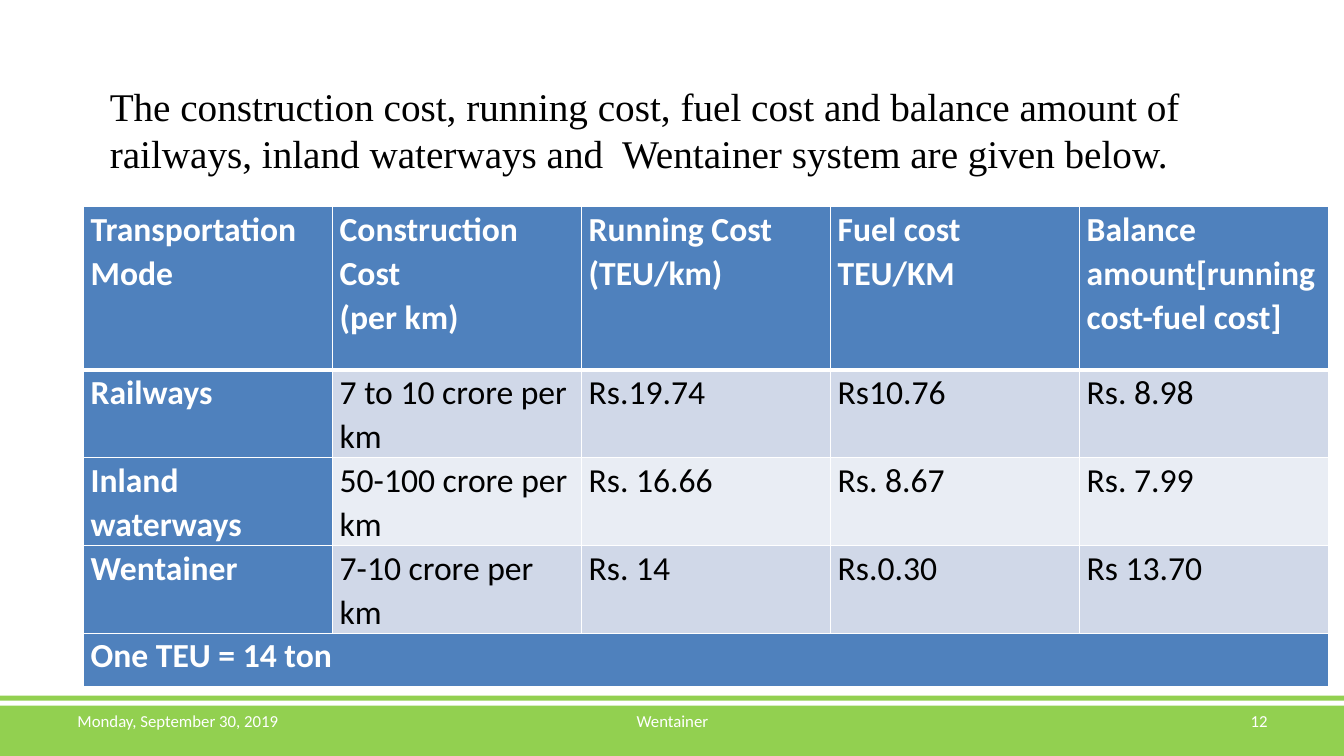
from lxml import etree
from pptx import Presentation
from pptx.dml.color import RGBColor
from pptx.enum.shapes import MSO_SHAPE
from pptx.enum.text import MSO_ANCHOR, PP_ALIGN
from pptx.oxml.ns import qn
from pptx.util import Emu, Pt

RECTANGLE = MSO_SHAPE.RECTANGLE
TOP, MIDDLE = MSO_ANCHOR.TOP, MSO_ANCHOR.MIDDLE
LEFT, CENTER, RIGHT = PP_ALIGN.LEFT, PP_ALIGN.CENTER, PP_ALIGN.RIGHT

EMU_PER_PX = 9144
COLORS = {
    "footer": "92D050",
    "heading": "4F81BD",
    "odd_row": "D0D8E8",
    "even_row": "E9EDF4",
    "light": "FFFFFF",
    "dark": "000000",
}
INTRO = (
    "The construction cost, running cost, fuel cost and balance amount of "
    "railways, inland waterways and  Wentainer system are given below."
)
COSTS = [
    ["Transportation Mode", "Construction Cost\n(per km)", "Running Cost\n(TEU/km)",
     "Fuel cost TEU/KM", "Balance amount[running cost-fuel cost]"],
    ["Railways", "7 to 10 crore per km", "Rs.19.74", "Rs10.76", "Rs. 8.98"],
    ["Inland waterways", "50-100 crore per km", "Rs. 16.66", "Rs. 8.67", "Rs. 7.99"],
    ["Wentainer", "7-10 crore per km", "Rs. 14", "Rs.0.30", "Rs 13.70"],
    ["One TEU = 14 ton", "", "", "", ""],
]
ROW_HEIGHTS = [162, 81, 81, 81, 53]
COLUMN_WIDTH = 247


def px(length):
    return Emu(length * EMU_PER_PX)


def color(name):
    return RGBColor.from_string(COLORS[name])


def add_run(paragraph, text, size, ink, font="Calibri", bold=False):
    run = paragraph.add_run()
    run.text = text
    run.font.name = font
    run.font.size = Pt(size)
    run.font.bold = bold
    run.font.color.rgb = color(ink)


def add_bar(slide, top, height):
    bar = slide.shapes.add_shape(RECTANGLE, 0, px(top), px(1333), px(height))
    bar.shadow.inherit = False
    bar.fill.solid()
    bar.fill.fore_color.rgb = color("footer")
    bar.line.fill.background()


def add_label(slide, box, text, size, ink, font="Calibri", align=LEFT, anchor=TOP):
    frame = slide.shapes.add_textbox(*map(px, box)).text_frame
    frame.word_wrap = True
    frame.vertical_anchor = anchor
    paragraph = frame.paragraphs[0]
    paragraph.alignment = align
    add_run(paragraph, text, size, ink, font)


def set_borders(cell, top, bottom):
    properties = cell._tc.get_or_add_tcPr()
    widths = {"a:lnL": 1, "a:lnR": 1, "a:lnT": top, "a:lnB": bottom}
    for position, (side, width) in enumerate(widths.items()):
        border = etree.Element(qn(side), w=str(Pt(width)))
        fill = etree.SubElement(border, qn("a:solidFill"))
        etree.SubElement(fill, qn("a:srgbClr"), val=COLORS["light"])
        properties.insert(position, border)


def fill_cell(cell, text, row, is_heading):
    cell.margin_left = cell.margin_right = px(7)
    cell.margin_top = cell.margin_bottom = 0
    band = "odd_row" if row % 2 else "even_row"
    cell.fill.solid()
    cell.fill.fore_color.rgb = color("heading" if is_heading else band)
    set_borders(cell, 3 if row == 1 else 1, 3 if row == 0 else 1)
    if not text:
        return
    frame = cell.text_frame
    for index, line in enumerate(text.split("\n")):
        paragraph = frame.add_paragraph() if index else frame.paragraphs[0]
        paragraph.line_spacing = 1.07
        add_run(paragraph, line, 24, "light" if is_heading else "dark", bold=is_heading)


def add_cost_table(slide, left, top):
    columns = len(COSTS[0])
    last_row = len(COSTS) - 1
    table = slide.shapes.add_table(
        len(COSTS), columns, px(left), px(top),
        px(COLUMN_WIDTH * columns), px(sum(ROW_HEIGHTS)),
    ).table
    for column in table.columns:
        column.width = px(COLUMN_WIDTH)
    for row, values in enumerate(COSTS):
        table.rows[row].height = px(ROW_HEIGHTS[row])
        for column, text in enumerate(values):
            is_heading = row in (0, last_row) or column == 0
            fill_cell(table.cell(row, column), text, row, is_heading)
    table.cell(last_row, 0).merge(table.cell(last_row, columns - 1))


def main():
    presentation = Presentation()
    presentation.slide_width, presentation.slide_height = px(1333), px(750)
    slide = presentation.slides.add_slide(presentation.slide_layouts[6])
    add_bar(slide, 700, 50)
    add_bar(slide, 690, 5)
    add_cost_table(slide, 83, 205)
    add_label(slide, (99, 77, 1122, 104), INTRO, 28, "dark", "Times New Roman")
    for left, width, text, align in (
        (67, 311, "Monday, September 30, 2019", LEFT),
        (456, 422, "Wentainer", CENTER),
        (956, 311, "12", RIGHT),
    ):
        add_label(slide, (left, 695, width, 40), text, 12, "light", align=align, anchor=MIDDLE)
    presentation.save("out.pptx")


if __name__ == "__main__":
    main()
